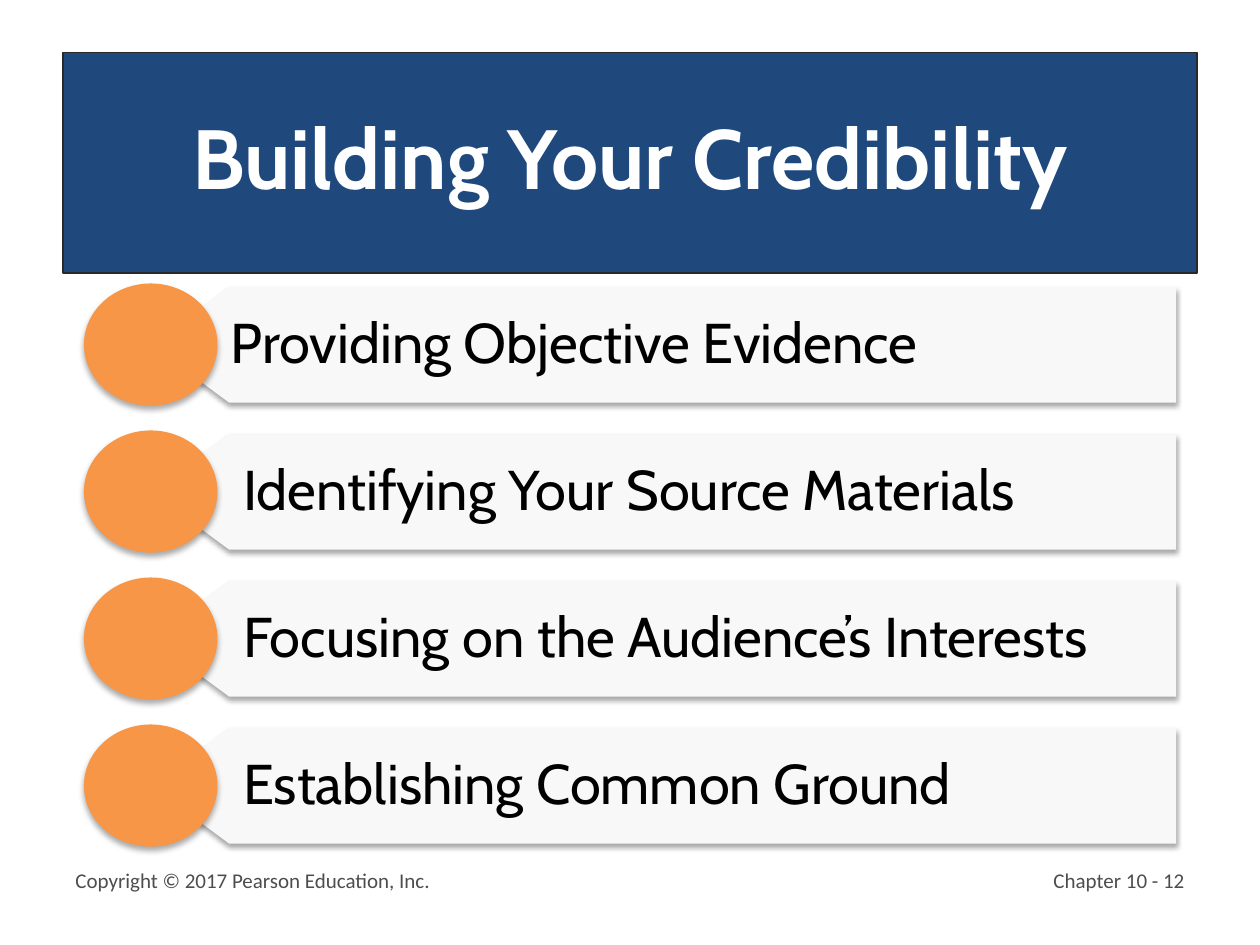
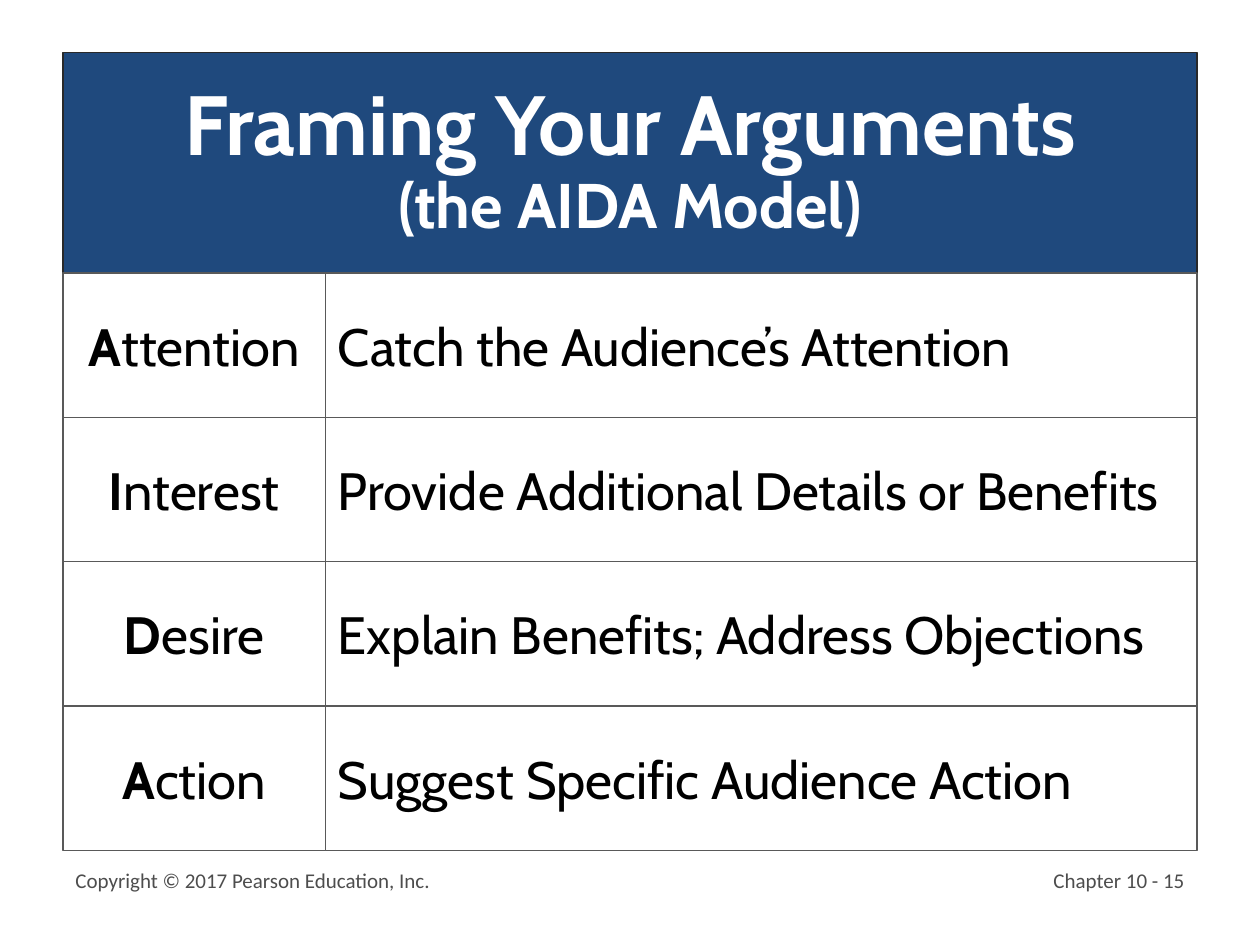
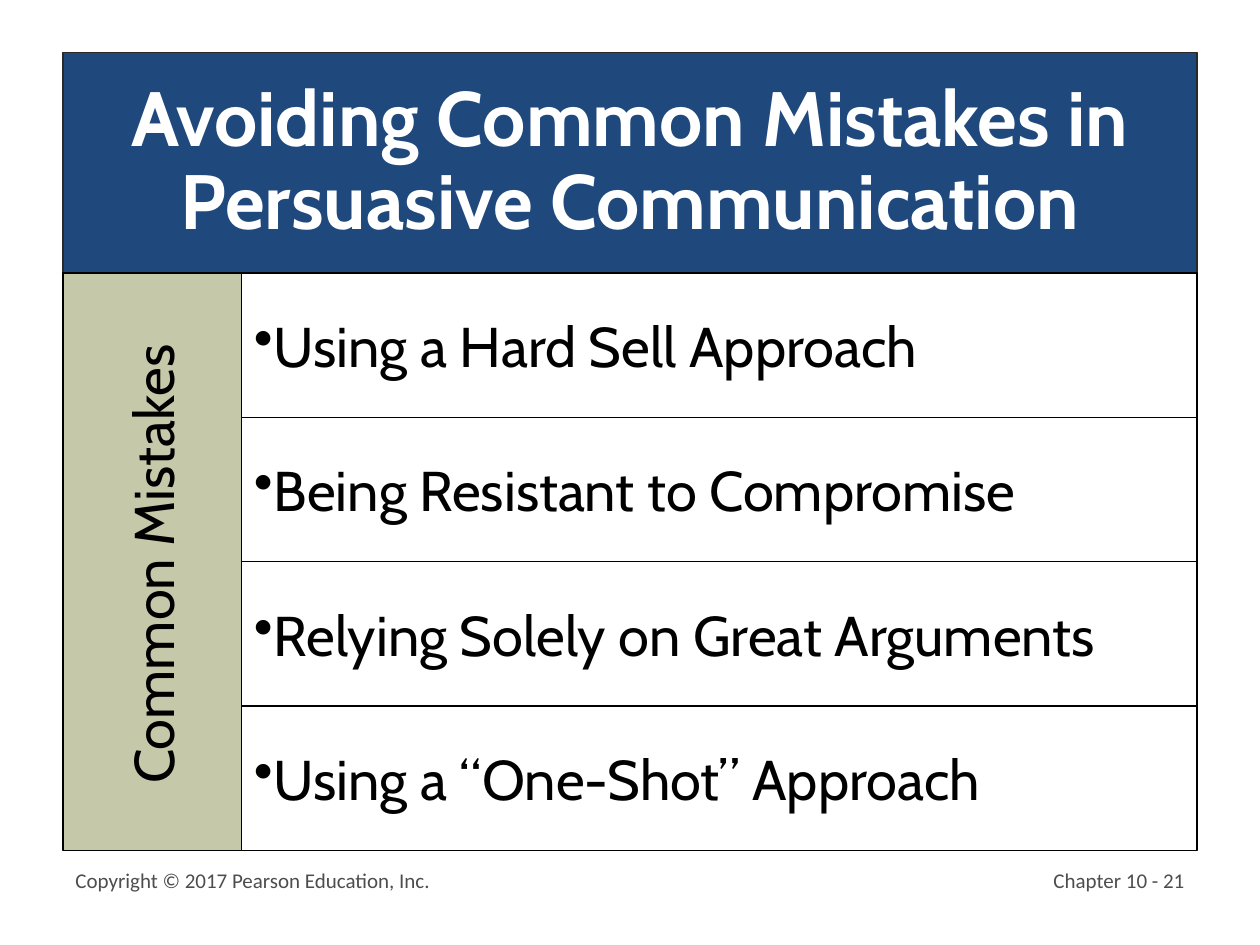
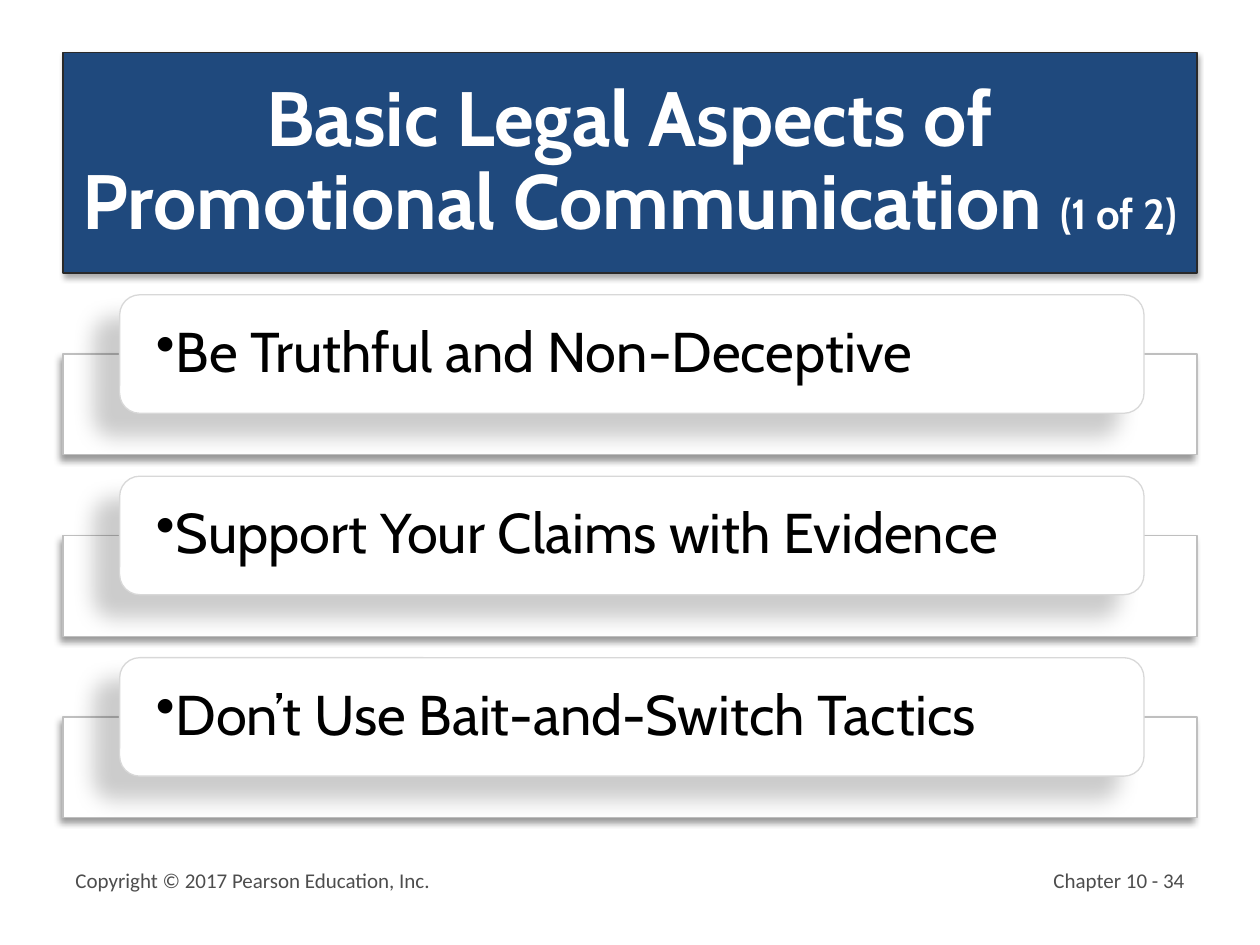
import lxml.etree
import pptx
import pptx.dml.color
import pptx.enum.shapes
import pptx.enum.text
import pptx.oxml.ns
import pptx.util

SHAPE = pptx.enum.shapes.MSO_SHAPE
ALIGN = pptx.enum.text.PP_ALIGN
ANCHOR = pptx.enum.text.MSO_ANCHOR
Inches, Pt = pptx.util.Inches, pptx.util.Pt
qn = pptx.oxml.ns.qn


class Theme:
    navy, navy_edge, white, black = "1F497D", "292929", "FFFFFF", "000000"
    orange, pale, olive = "F79646", "F8F8F8", "C5C8A9"
    grid, footer, plate_edge, card_edge = "595959", "4D4D4D", "BFBFBF", "D8D8D8"
    heading, body_font = "Cabin", "Calibri"
    title, long_title, subtitle, counter = 48, 44, 36, 24
    body, cell, small = 32, 30, 12
    # Shadows: opacity %, blur pt, distance pt, direction in degrees
    bar_shadow, raised_shadow = (35, 3.1, 1.8, 90), (32, 3.5, 2.2, 90)
    plate_shadow, card_shadow = (40, 4, 3, 135), (20, 11.8, 19.7, 141)


def paint(shape, fill, line=None, shadow=None):
    """Set fill, outline and shadow."""
    shape.fill.solid()
    shape.fill.fore_color.rgb = pptx.dml.color.RGBColor.from_string(fill)
    if line:
        shape.line.color.rgb = pptx.dml.color.RGBColor.from_string(line)
        shape.line.width = Pt(0.75)
    else:
        shape.line.fill.background()
    shape.shadow.inherit = False
    if shadow:
        opacity, blur, distance, direction = shadow
        effects = shape._element.spPr.find(qn("a:effectLst"))
        outer = lxml.etree.SubElement(
            effects, qn("a:outerShdw"), blurRad=str(Pt(blur)), dist=str(Pt(distance)),
            dir=str(direction * 60000), algn="ctr", rotWithShape="0")
        color = lxml.etree.SubElement(outer, qn("a:srgbClr"), val=Theme.black)
        lxml.etree.SubElement(color, qn("a:alpha"), val=str(opacity * 1000))


def write(shape, runs, size, color=Theme.black, font=Theme.heading, align=ALIGN.LEFT,
          anchor=ANCHOR.MIDDLE, spacing=1.0, side=0.1, bullet=False):
    """Fill one paragraph with (text, font overrides) runs; "\n" breaks the line."""
    frame = shape.text_frame
    frame_format = {
        "word_wrap": True, "auto_size": pptx.enum.text.MSO_AUTO_SIZE.NONE,
        "vertical_anchor": anchor, "margin_left": Inches(side), "margin_right": Inches(0.1),
        "margin_top": Inches(0.05), "margin_bottom": Inches(0.05)}
    for name, value in frame_format.items():
        setattr(frame, name, value)
    paragraph = frame.paragraphs[0]
    paragraph.alignment = align
    paragraph.line_spacing = spacing
    if bullet:
        properties = paragraph._p.get_or_add_pPr()
        properties.set("marL", str(Inches(0.14)))
        properties.set("indent", str(-Inches(0.14)))
        lxml.etree.SubElement(properties, qn("a:buChar"), char="•")
    for text, overrides in runs:
        if text == "\n":
            paragraph.add_line_break()
            continue
        run = paragraph.add_run()
        run.text = text
        run_format = {"name": font, "size": Pt(size), "bold": False, **overrides}
        for name, value in run_format.items():
            setattr(run.font, name, value)
        run.font.color.rgb = pptx.dml.color.RGBColor.from_string(color)


# Slide size and a grid of 120 columns by 90 rows
deck = pptx.Presentation()
deck.slide_width, deck.slide_height = Inches(10), Inches(7.5)
COL, ROW = deck.slide_width // 120, deck.slide_height // 90
LEFT, WIDTH = 6 * COL, 108 * COL
TOP, BODY_HEIGHT = 26 * ROW, 55 * ROW
CELL_HEIGHT = BODY_HEIGHT // 4

# Title band and footers of every slide
headings = [
    (12, Theme.title, [("Building Your Credibility", {})], None),
    (15, Theme.title, [("Framing Your Arguments", {}), ("\n", {}),
                       ("(the AIDA Model)", {"size": Pt(Theme.subtitle)})], None),
    (21, Theme.long_title,
     [("Avoiding Common Mistakes in Persuasive Communication", {})], None),
    (34, Theme.long_title,
     [("Basic Legal Aspects of Promotional Communication ", {}),
      ("(1 of 2)", {"size": Pt(Theme.counter)})], Theme.raised_shadow),
]
slides = []
for page, size, heading, shadow in headings:
    slide = deck.slides.add_slide(deck.slide_layouts[5])
    band = slide.shapes.title
    band.left, band.top, band.width, band.height = LEFT, 5 * ROW, WIDTH, 21 * ROW
    paint(band, Theme.navy, Theme.navy_edge, shadow)
    write(band, [(text, {"bold": True, **extra}) for text, extra in heading], size,
          Theme.white, align=ALIGN.CENTER, spacing=0.9)
    for column, columns, align, note in [
            (6, 74, ALIGN.LEFT, "Copyright © 2017 Pearson Education, Inc."),
            (89, 25, ALIGN.RIGHT, f"Chapter 10 - {page}")]:
        footer = slide.shapes.add_textbox(column * COL, 82 * ROW, columns * COL, 6 * ROW)
        write(footer, [(note, {})], Theme.small, Theme.footer, Theme.body_font,
              align, ANCHOR.TOP)
    slides.append(slide)
credibility, framing, mistakes, legal = [slide.shapes for slide in slides]

# Credibility: pointed bars with round markers
ways = ["Providing Objective Evidence", "Identifying Your Source Materials",
        "Focusing on the Audience’s Interests", "Establishing Common Ground"]
bar_left, bar_right, bar_height = Inches(1.2), 112 * COL, 11 * ROW
for index, way in enumerate(ways):
    marker_top = (27 + 14 * index) * ROW
    bar_top = marker_top + Inches(0.03)
    bar_bottom = bar_top + bar_height
    shoulder = bar_left + Inches(0.62)
    outline = credibility.build_freeform(bar_right, bar_bottom)
    outline.add_line_segments([
        (shoulder, bar_bottom), (bar_left, bar_top + bar_height // 2),
        (shoulder, bar_top), (bar_right, bar_top)], close=True)
    bar = outline.convert_to_shape()
    paint(bar, Theme.pale, shadow=Theme.bar_shadow)
    write(bar, [(way, {})], Theme.body, spacing=0.9, side=0.73 if index else 0.63)
    marker = credibility.add_shape(SHAPE.OVAL, 8 * COL, marker_top,
                                   Inches(1.06), Inches(0.97))
    paint(marker, Theme.orange, shadow=Theme.raised_shadow)

# Framing: the four steps and what each one does
steps = [("Attention", "Catch the Audience’s Attention"),
         ("Interest", "Provide Additional Details or Benefits"),
         ("Desire", "Explain Benefits; Address Objections"),
         ("Action", "Suggest Specific Audience Action")]
for index, (step, purpose) in enumerate(steps):
    initial_and_rest = [(step[0], {"bold": True}), (step[1:], {})]
    for column, columns, runs, align in [
            (6, 25, initial_and_rest, ALIGN.CENTER),
            (31, 83, [(purpose, {})], ALIGN.LEFT)]:
        cell = framing.add_shape(SHAPE.RECTANGLE, column * COL, TOP + index * CELL_HEIGHT,
                                 columns * COL, CELL_HEIGHT)
        paint(cell, Theme.white, Theme.grid)
        write(cell, runs, Theme.cell, align=align)

# Mistakes: side band with a turned label, and one row per mistake
side_width = 17 * COL
side_band = mistakes.add_shape(SHAPE.RECTANGLE, LEFT, TOP, side_width, BODY_HEIGHT)
paint(side_band, Theme.olive, Theme.black)
label_width, label_height = Inches(3.72), Inches(0.64)
label = mistakes.add_shape(
    SHAPE.RECTANGLE, LEFT + (side_width - label_width) // 2,
    TOP + (BODY_HEIGHT - label_height) // 2, label_width, label_height)
label.rotation = 270
paint(label, Theme.olive)
write(label, [("Common Mistakes", {})], Theme.body, anchor=ANCHOR.TOP)
for index, mistake in enumerate([
        "Using a Hard Sell Approach", "Being Resistant to Compromise",
        "Relying Solely on Great Arguments", "Using a “One-Shot” Approach"]):
    row = mistakes.add_shape(SHAPE.RECTANGLE, LEFT + side_width, TOP + index * CELL_HEIGHT,
                             WIDTH - side_width, CELL_HEIGHT)
    paint(row, Theme.white, Theme.black)
    write(row, [(mistake, {})], Theme.body, bullet=True)

# Legal aspects: rounded cards over plates
for index, duty in enumerate([
        "Be Truthful and Non-Deceptive", "Support Your Claims with Evidence",
        "Don’t Use Bait-and-Switch Tactics"]):
    card_top = Inches(2.34 + 1.44 * index)
    plate = legal.add_shape(SHAPE.RECTANGLE, LEFT, card_top + Inches(0.47),
                            WIDTH, Inches(0.8))
    paint(plate, Theme.white, Theme.plate_edge, Theme.plate_shadow)
    card = legal.add_shape(SHAPE.ROUNDED_RECTANGLE, Inches(0.95), card_top,
                           Inches(8.13), Inches(0.94))
    card.adjustments[0] = 0.17
    paint(card, Theme.white, Theme.card_edge, Theme.card_shadow)
    write(card, [(duty, {})], Theme.body, spacing=0.9, side=0.24, bullet=True)

deck.save("out.pptx")
